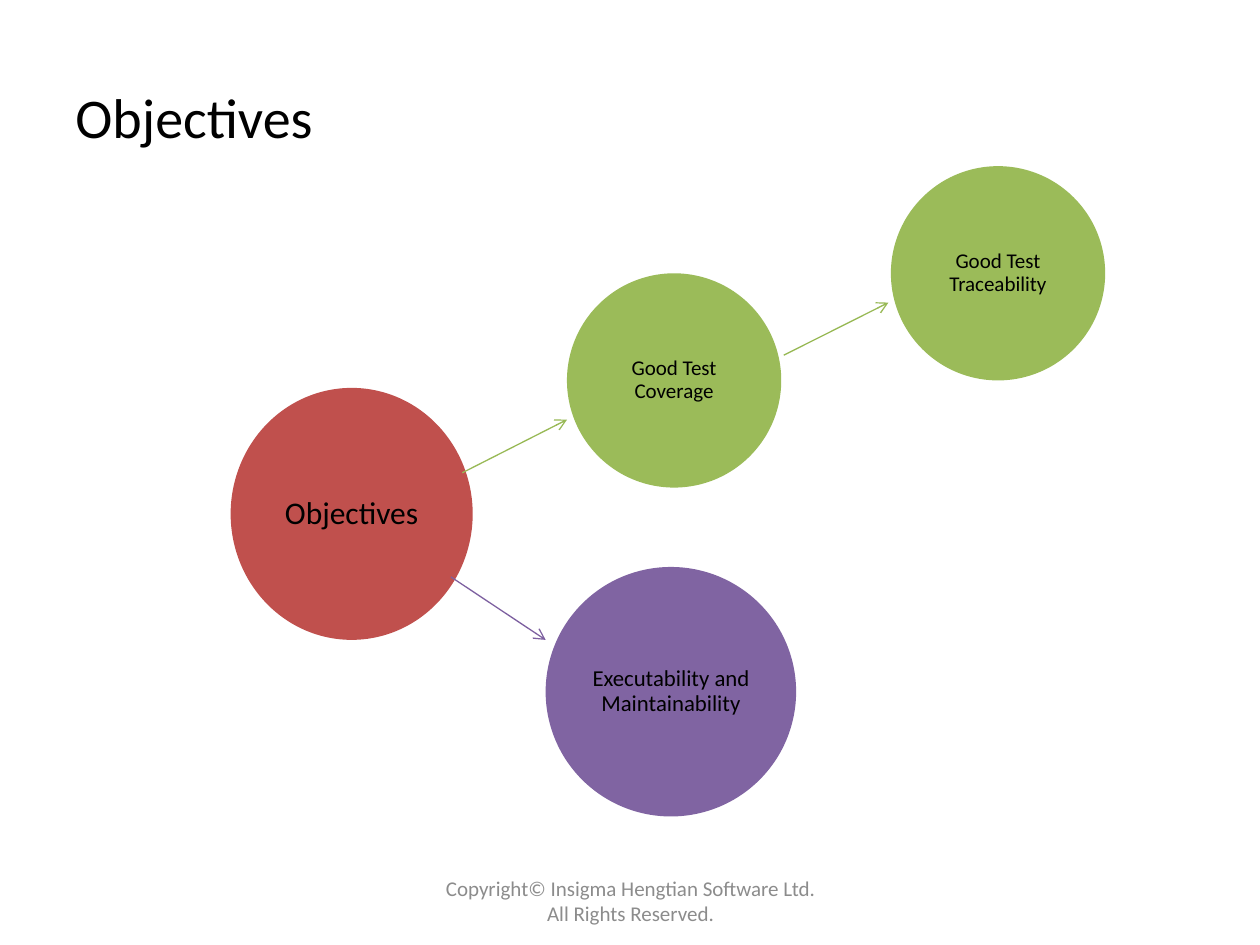
from pptx import Presentation
from pptx.dml.color import RGBColor
from pptx.enum.shapes import MSO_CONNECTOR as Link, MSO_SHAPE as Shape
from pptx.enum.text import MSO_ANCHOR as Anchor, PP_ALIGN as Align
from pptx.oxml.ns import qn
from pptx.util import Cm, Pt
from lxml.etree import SubElement as Sub


def tint(code):
    return RGBColor.from_string(code)


def write(shape, text, size, color="000000", align=Align.CENTER, inset=0.25, space=1.0):
    frame = shape.text_frame
    frame.word_wrap = True
    frame.vertical_anchor = Anchor.MIDDLE
    frame.margin_left = frame.margin_right = Cm(inset)
    frame.margin_top = frame.margin_bottom = Cm(min(inset, 0.13))
    frame.text = text
    para = frame.paragraphs[0]
    para.alignment = align
    para.line_spacing = space
    para.font.name = "Calibri"
    para.font.size = Pt(size)
    para.font.color.rgb = tint(color)


deck = Presentation()
deck.slide_width, deck.slide_height = Cm(25.4), Cm(19.05)
slide = deck.slides.add_slide(deck.slide_layouts[5])
shapes = slide.shapes

# Title
title = shapes.title
title.left, title.top, title.width, title.height = Cm(1.27), Cm(0.76), Cm(22.86), Cm(3.18)
write(title, "Objectives", 32, align=Align.LEFT)

# Circles: text, size, fill, left, top, width, height
GREEN, RED, PURPLE = "9BBB59", "C0504D", "8064A2"
circles = [
    ("Good Test Coverage", 12, GREEN, 11.43, 5.51, 4.32, 4.32),
    ("Objectives", 18, RED, 4.65, 7.82, 4.88, 5.08),
    ("Executability and Maintainability", 13, PURPLE, 11, 11.43, 5.05, 5.03),
    ("Good Test Traceability", 12, GREEN, 17.96, 3.35, 4.32, 4.32),
]
for text, size, fill, *box in circles:
    disc = shapes.add_shape(Shape.OVAL, *map(Cm, box))
    disc.shadow.inherit = False
    disc.fill.solid()
    disc.fill.fore_color.rgb = tint(fill)
    disc.line.fill.background()
    write(disc, text, size, inset=0.05, space=0.9)

# Arrows: colour, start, end
arrows = [
    ("98B955", 9.32, 9.53, 11.43, 8.46),
    ("7D60A0", 9.09, 11.63, 11, 12.9),
    ("98B955", 15.8, 7.16, 17.91, 6.1),
]
for color, *ends in arrows:
    arrow = shapes.add_connector(Link.STRAIGHT, *map(Cm, ends))
    arrow.line.color.rgb = tint(color)
    arrow.line.width = Pt(0.75)
    Sub(arrow.line._get_or_add_ln(), qn("a:tailEnd"), type="arrow")
    Sub(arrow._element.spPr, qn("a:effectLst"))

# Footer
foot = shapes.add_textbox(Cm(8.69), Cm(17.65), Cm(8.05), Cm(1.02))
write(foot, "Copyright© Insigma Hengtian Software Ltd. All Rights Reserved.", 12, "8C8C8C")

deck.save("out.pptx")
